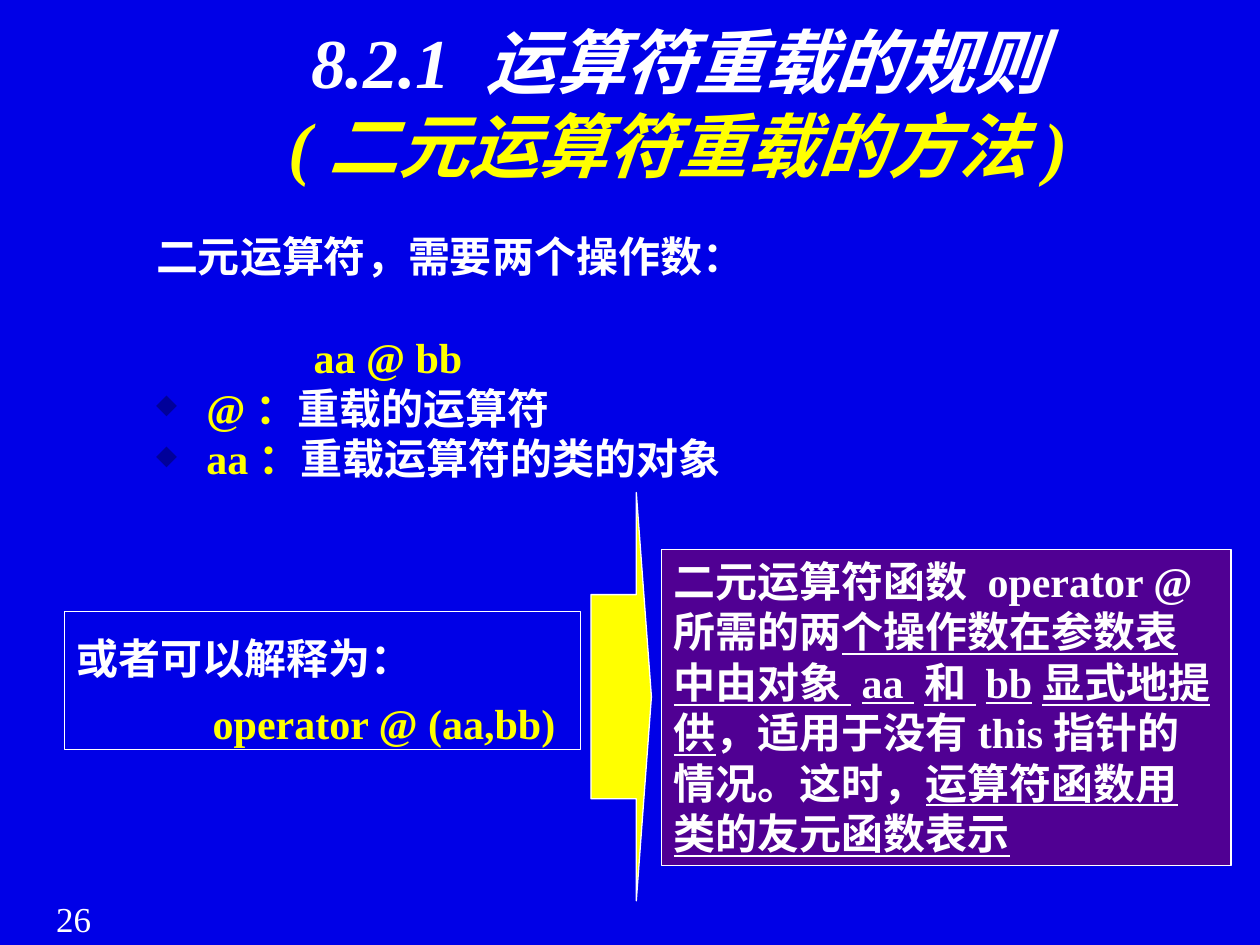
import lxml.etree
import pptx
import pptx.dml.color
import pptx.enum.shapes
import pptx.enum.text
import pptx.oxml.ns
import pptx.util

BLUE, WHITE, GOLD = "0000E7", "FFFFFF", "FFFF00"
PLUM, NAVY = "500093", "000099"
SHAPE = pptx.enum.shapes.MSO_SHAPE
ALIGN = pptx.enum.text.PP_ALIGN
ANCHOR = pptx.enum.text.MSO_ANCHOR


def color(code):
    return pptx.dml.color.RGBColor.from_string(code)


class Deck:
    font = "Times New Roman"
    size = 24

    def __init__(self):
        self.file = pptx.Presentation()
        self.file.slide_width = pptx.util.Inches(10)
        self.file.slide_height = pptx.util.Inches(7.5)
        self.slide = self.file.slides.add_slide(self.file.slide_layouts[6])
        back = self.slide.background.fill
        back.solid()
        back.fore_color.rgb = color(BLUE)

    def place(self, left, top, width, height):
        """Turn percentages of the slide's size into lengths."""
        wide, high = self.file.slide_width, self.file.slide_height
        return [int(part * full / 100) for part, full in
                zip((left, top, width, height), (wide, high, wide, high))]

    def text(self, *area, anchor=ANCHOR.TOP):
        frame = self.slide.shapes.add_textbox(*self.place(*area)).text_frame
        frame.word_wrap = True
        frame.vertical_anchor = anchor
        return frame

    def shape(self, kind, *area, fill=None):
        item = self.slide.shapes.add_shape(kind, *self.place(*area))
        item.shadow.inherit = False
        if fill:
            item.fill.solid()
            item.fill.fore_color.rgb = color(fill)
        else:
            item.fill.background()
        item.line.color.rgb = color(WHITE)
        item.line.width = pptx.util.Pt(0.75)
        item.text_frame.vertical_anchor = ANCHOR.TOP
        return item

    def para(self, frame, *parts, size=None, bold=True, italic=False,
             align=ALIGN.LEFT, indent=0, before=0, spacing=None):
        """Fill the first free paragraph with (text, color, underline) parts."""
        item = frame.paragraphs[0]
        if item.runs:
            item = frame.add_paragraph()
        item.alignment = align
        if before:
            item.space_before = pptx.util.Pt(before)
        if spacing:
            item.line_spacing = spacing
        if indent:
            item._p.get_or_add_pPr().set("marL", str(pptx.util.Inches(indent)))
        for words, shade, *line in parts:
            run = item.add_run()
            run.text = words
            font = run.font
            font.name, font.size = self.font, pptx.util.Pt(size or self.size)
            font.bold, font.italic = bold, italic
            font.underline = bool(line)
            font.color.rgb = color(shade)
        return item

    def bullet(self, frame, *parts, indent=0.4):
        props = self.para(frame, *parts, indent=indent)._p.get_or_add_pPr()
        props.set("indent", str(-pptx.util.Inches(indent)))
        name = pptx.oxml.ns.qn
        shade = lxml.etree.SubElement(props, name("a:buClr"))
        lxml.etree.SubElement(shade, name("a:srgbClr"), val=NAVY)
        lxml.etree.SubElement(props, name("a:buSzPct"), val="65000")
        lxml.etree.SubElement(props, name("a:buChar"), char="◆")


def main():
    deck = Deck()

    page = deck.text(1.7, 94.27, 8.3, 5.73)
    deck.para(page, ("26", WHITE), size=20, bold=False, align=ALIGN.CENTER)

    title = deck.text(13.8, 3.73, 80, 16.67, anchor=ANCHOR.BOTTOM)
    for words, shade in (("8.2.1 运算符重载的规则", WHITE),
                         ("(二元运算符重载的方法)", GOLD)):
        deck.para(title, (words, shade), size=40, italic=True,
                  align=ALIGN.CENTER)

    body = deck.text(11.4, 23.73, 86.3, 28.27)
    deck.para(body, ("二元运算符，需要两个操作数：", WHITE))
    deck.para(body, ("aa @ bb", GOLD), indent=1.25, before=29)
    for term, note in (("@：", "重载的运算符"),
                       ("aa：", "重载运算符的类的对象")):
        deck.bullet(body, (term, GOLD), (note, WHITE))

    call = deck.shape(SHAPE.RECTANGLE, 5.1, 64.67, 41, 14.67).text_frame
    deck.para(call, ("或者可以解释为：", WHITE), spacing=1.3)
    deck.para(call, ("operator @ (aa,bb)", GOLD), indent=1.08, spacing=1.3)

    rule = deck.shape(SHAPE.RECTANGLE, 52.5, 58.13, 45.2, 33.47, fill=PLUM)
    deck.para(rule.text_frame,
              ("二元运算符函数 operator @ 所需的两", WHITE),
              ("个操作数在参数表中由对象 aa 和 bb显式地提供", WHITE, True),
              ("，适用于没有this指针的情况。这时，", WHITE),
              ("运算符函数用类的友元函数表示", WHITE, True))

    arrow = deck.shape(SHAPE.RIGHT_ARROW, 46.9, 52.13, 4.8, 43.2, fill=GOLD)
    arrow.adjustments[0], arrow.adjustments[1] = 0.5, 0.25

    deck.file.save("out.pptx")


if __name__ == "__main__":
    main()
